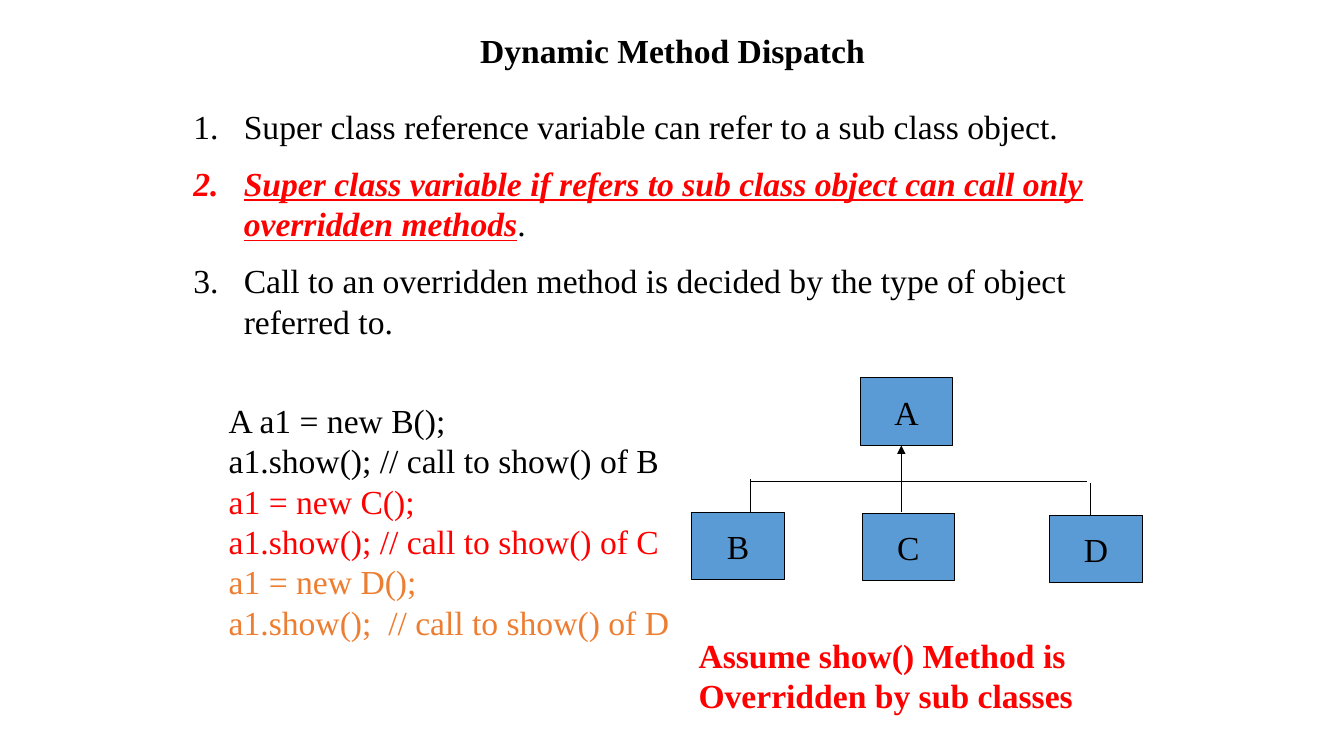
from lxml import etree
from pptx import Presentation
from pptx.dml.color import RGBColor
from pptx.enum.shapes import MSO_CONNECTOR, MSO_SHAPE
from pptx.enum.text import MSO_ANCHOR, MSO_AUTO_SIZE, PP_ALIGN
from pptx.oxml.ns import qn
from pptx.util import Inches, Pt

RECTANGLE = MSO_SHAPE.RECTANGLE
STRAIGHT = MSO_CONNECTOR.STRAIGHT
LEFT, CENTER = PP_ALIGN.LEFT, PP_ALIGN.CENTER
MIDDLE = MSO_ANCHOR.MIDDLE
FIT_TEXT = MSO_AUTO_SIZE.SHAPE_TO_FIT_TEXT

BLACK, RED, ORANGE, BLUE = "000000", "FF0000", "ED7D31", "5B9BD5"


def color(value):
    return RGBColor.from_string(value)


class SlideBuilder:
    font_name = "Times New Roman"
    font_size = Pt(24)
    line_width = Pt(0.75)
    paragraph_gap = Pt(12)
    number_indent = Inches(0.5)

    def __init__(self, slide):
        self.slide = slide

    def add_run(self, paragraph, text, fill=BLACK, bold=False, italic=False, underline=False):
        run = paragraph.add_run()
        run.text = text
        font = run.font
        font.name, font.size = self.font_name, self.font_size
        font.bold, font.italic, font.underline = bold, italic, underline
        font.color.rgb = color(fill)

    def text(self, left, top, width, height, paragraphs, align=LEFT, numbered=False):
        """Each paragraph is a list of (text, style) runs."""
        shape = self.slide.shapes.add_textbox(
            Inches(left), Inches(top), Inches(width), Inches(height))
        frame = shape.text_frame
        frame.word_wrap = True
        frame.auto_size = FIT_TEXT
        for index, runs in enumerate(paragraphs):
            paragraph = frame.add_paragraph() if index else frame.paragraphs[0]
            paragraph.alignment = align
            for words, style in runs:
                self.add_run(paragraph, words, **style)
            if numbered:
                self.number(paragraph, first=index == 0)

    def number(self, paragraph, first):
        if not first:
            paragraph.space_before = self.paragraph_gap
        properties = paragraph._p.get_or_add_pPr()
        properties.set("marL", str(self.number_indent))
        properties.set("indent", str(-self.number_indent))
        etree.SubElement(properties, qn("a:buAutoNum"), type="arabicPeriod")

    def class_box(self, left, top, name):
        shape = self.slide.shapes.add_shape(
            RECTANGLE, Inches(left), Inches(top), Inches(0.92), Inches(0.67))
        shape.shadow.inherit = False
        shape.fill.solid()
        shape.fill.fore_color.rgb = color(BLUE)
        shape.line.color.rgb = color(BLACK)
        shape.line.width = self.line_width
        frame = shape.text_frame
        frame.word_wrap = False
        frame.vertical_anchor = MIDDLE
        paragraph = frame.paragraphs[0]
        paragraph.alignment = CENTER
        self.add_run(paragraph, name)

    def line(self, x1, y1, x2, y2, arrow=False):
        connector = self.slide.shapes.add_connector(
            STRAIGHT, Inches(x1), Inches(y1), Inches(x2), Inches(y2))
        connector.line.color.rgb = color(BLACK)
        connector.line.width = self.line_width
        if arrow:
            etree.SubElement(connector.line._get_or_add_ln(), qn("a:tailEnd"), type="triangle")
        etree.SubElement(connector._element.spPr, qn("a:effectLst"))


presentation = Presentation()
presentation.slide_width = Inches(13.33)
presentation.slide_height = Inches(7.5)
builder = SlideBuilder(presentation.slides.add_slide(presentation.slide_layouts[6]))

# Title
builder.text(1.67, 0.25, 10, 0.5, [[("Dynamic Method Dispatch", {"bold": True})]], align=CENTER)

# Numbered rules
emphasis = {"fill": RED, "bold": True, "italic": True, "underline": True}
builder.text(1.82, 1, 9.67, 2.52, [
    [("Super class reference variable can refer to a sub class object.", {})],
    [("Super class variable if refers to sub class object can call only overridden methods",
      emphasis), (".", {})],
    [("Call to an overridden method is decided by the type of object referred to.", {})],
], numbered=True)

# Class hierarchy
for name, left, top in [("A", 8.53, 3.75), ("B", 6.86, 5.08), ("C", 8.55, 5.09), ("D", 10.41, 5.11)]:
    builder.class_box(left, top, name)

# Inheritance lines: arrow to A, crossbar, then a drop to each sub class
builder.line(8.94, 4.75, 8.94, 4.42, arrow=True)
builder.line(7.44, 4.78, 10.78, 4.78)
for x, top in [(7.44, 4.75), (8.94, 4.75), (10.82, 4.79)]:
    builder.line(x, top, x, top + 0.33)

# Code sample
code_lines = [
    ("A a1 = new B();", BLACK),
    ("a1.show(); // call to show() of B", BLACK),
    ("a1 = new C();", RED),
    ("a1.show(); // call to show() of C", RED),
    ("a1 = new D();", ORANGE),
    ("a1.show();  // call to show() of D", ORANGE),
]
builder.text(2.17, 3.92, 4.58, 2.93, [[(code, {"fill": fill})] for code, fill in code_lines])

# Assumption
assumption = ["Assume show() Method is", "Overridden by sub classes"]
builder.text(6.83, 6.25, 4.42, 0.91,
             [[(words, {"fill": RED, "bold": True})] for words in assumption])

presentation.save("out.pptx")
